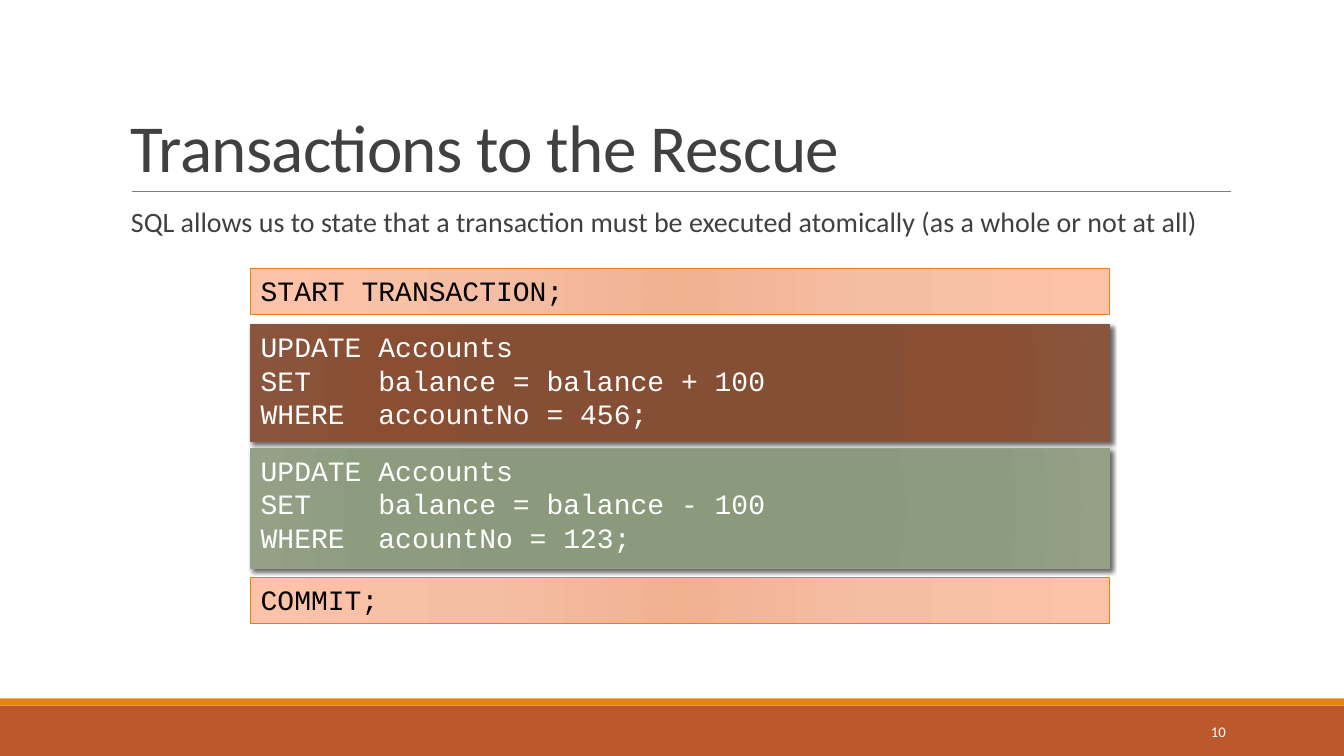
from lxml import etree
from pptx import Presentation
from pptx import util as u
from pptx.dml.color import RGBColor
from pptx.enum import shapes, text
from pptx.oxml import ns

COLORS = {
    "ink": "404040", "rule": "808080", "white": "FFFFFF", "black": "000000",
    "rust": "BD582C", "orange": "E48312", "brown_line": "865640", "sage_line": "94A088",
}
PEACH = [(0, "F0B191"), (45, "F5BEA4"), (100, "FDC3A8")]
BROWN = [(0, "874C32"), (34, "864E34"), (70, "8A4E33"), (100, "8A553D")]
SAGE = [(0, "8A987B"), (34, "8B997D"), (70, "8D9C7E"), (100, "94A187")]

STATEMENTS = [
    (0, 1.17, PEACH, "orange", "black", False, ["START TRANSACTION;"]),
    (1.42, 2.95, BROWN, "brown_line", "white", True,
     ["UPDATE Accounts", "SET    balance = balance + 100", "WHERE  accountNo = 456;"]),
    (4.54, 3.02, SAGE, "sage_line", "white", True,
     ["UPDATE Accounts", "SET    balance = balance - 100", "WHERE  acountNo = 123;"]),
    (7.79, 1.17, PEACH, "orange", "black", False, ["COMMIT;"]),
]


def rgb(name):
    return RGBColor.from_string(COLORS[name])


def sub(parent, tag, **attrs):
    return etree.SubElement(parent, ns.qn(tag), {k: str(v) for k, v in attrs.items()})


def write(tf, lines, font, size, color, align=text.PP_ALIGN.LEFT):
    tf.word_wrap = True
    for i, line in enumerate(lines):
        p = tf.paragraphs[0] if i == 0 else tf.add_paragraph()
        p.text = line
        p.alignment = align
        p.font.name = font
        p.font.size = u.Pt(size)
        p.font.color.rgb = rgb(color)
    return tf


def add_text(s, box, line, size, color, anchor, align=text.PP_ALIGN.LEFT):
    sp = s.shapes.add_textbox(*map(u.Cm, box))
    tf = write(sp.text_frame, [line], "Calibri", size, color, align)
    tf.vertical_anchor = anchor
    return tf.paragraphs[0]


def add_band(s, box, color):
    sp = s.shapes.add_shape(shapes.MSO_SHAPE.RECTANGLE, *map(u.Cm, box))
    sp.shadow.inherit = False
    sp.fill.solid()
    sp.fill.fore_color.rgb = rgb(color)
    sp.line.fill.background()


def fill_radial(sp, stops):
    sp.fill.gradient()
    grad = sp._element.spPr.find(ns.qn("a:gradFill"))
    for child in list(grad):
        grad.remove(child)
    stop_list = sub(grad, "a:gsLst")
    for pos, color in stops:
        sub(sub(stop_list, "a:gs", pos=pos * 1000), "a:srgbClr", val=color)
    circle = sub(grad, "a:path", path="circle")
    sub(circle, "a:fillToRect", l=100000, t=100000, r=100000, b=100000)


def add_shadow(sp):
    effects = sp._element.spPr.find(ns.qn("a:effectLst"))
    shadow = sub(effects, "a:outerShdw", blurRad=u.Pt(3), dist=u.Pt(2),
                 dir=45 * 60000, algn="tl", rotWithShape=0)
    sub(sub(shadow, "a:srgbClr", val=COLORS["black"]), "a:alpha", val=60000)


def add_footer(s, left, top, width, height):
    strip = 0.18
    add_band(s, (left, top + strip, width, height - strip), "rust")
    add_band(s, (left, top, width, strip), "orange")
    add_text(s, (left + width - 6.36, top + 0.33, 3.63, 1.02), "10", 10.5, "white",
             text.MSO_ANCHOR.MIDDLE, text.PP_ALIGN.RIGHT)


def add_heading(s, left, top, width, height):
    bottom = top + height
    rule = s.shapes.add_connector(
        shapes.MSO_CONNECTOR.STRAIGHT, u.Cm(left + 0.28), u.Cm(bottom),
        u.Cm(left + width + 0.02), u.Cm(bottom))
    rule.line.color.rgb = rgb("rule")
    rule.line.width = u.Pt(0.5)
    sub(rule._element.spPr, "a:effectLst")
    p = add_text(s, (left, top, width, height), "Transactions to the Rescue", 48, "ink",
                 text.MSO_ANCHOR.BOTTOM)
    p.line_spacing = 0.85
    p.runs[0]._r.get_or_add_rPr().set("spc", "-50")


def add_body(s, left, top, width, height):
    p = add_text(
        s, (left, top, width, height),
        "SQL allows us to state that a transaction must be executed atomically "
        "(as a whole or not at all)", 20, "ink", text.MSO_ANCHOR.TOP)
    p.line_spacing = 0.9
    p.space_after = u.Pt(2)


def add_code(s, left, top, width):
    for offset, height, stops, line, color, raised, lines in STATEMENTS:
        sp = s.shapes.add_shape(shapes.MSO_SHAPE.RECTANGLE, u.Cm(left), u.Cm(top + offset),
                                u.Cm(width), u.Cm(height))
        sp.shadow.inherit = False
        fill_radial(sp, stops)
        sp.line.color.rgb = rgb(line)
        sp.line.width = u.Pt(1)
        if raised:
            add_shadow(sp)
        tf = write(sp.text_frame, lines, "Courier New", 20, color)
        tf.vertical_anchor = text.MSO_ANCHOR.TOP


def main():
    prs = Presentation()
    prs.slide_width, prs.slide_height = u.Cm(33.87), u.Cm(19.05)
    s = prs.slides.add_slide(prs.slide_layouts[6])
    add_footer(s, 0, 17.6, 33.87, 1.45)
    add_heading(s, 3.05, 0.79, 27.94, 4.04)
    add_body(s, 3.05, 5.13, 27.94, 1.2)
    add_code(s, 6.32, 6.76, 21.64)
    prs.save("out.pptx")


if __name__ == "__main__":
    main()
